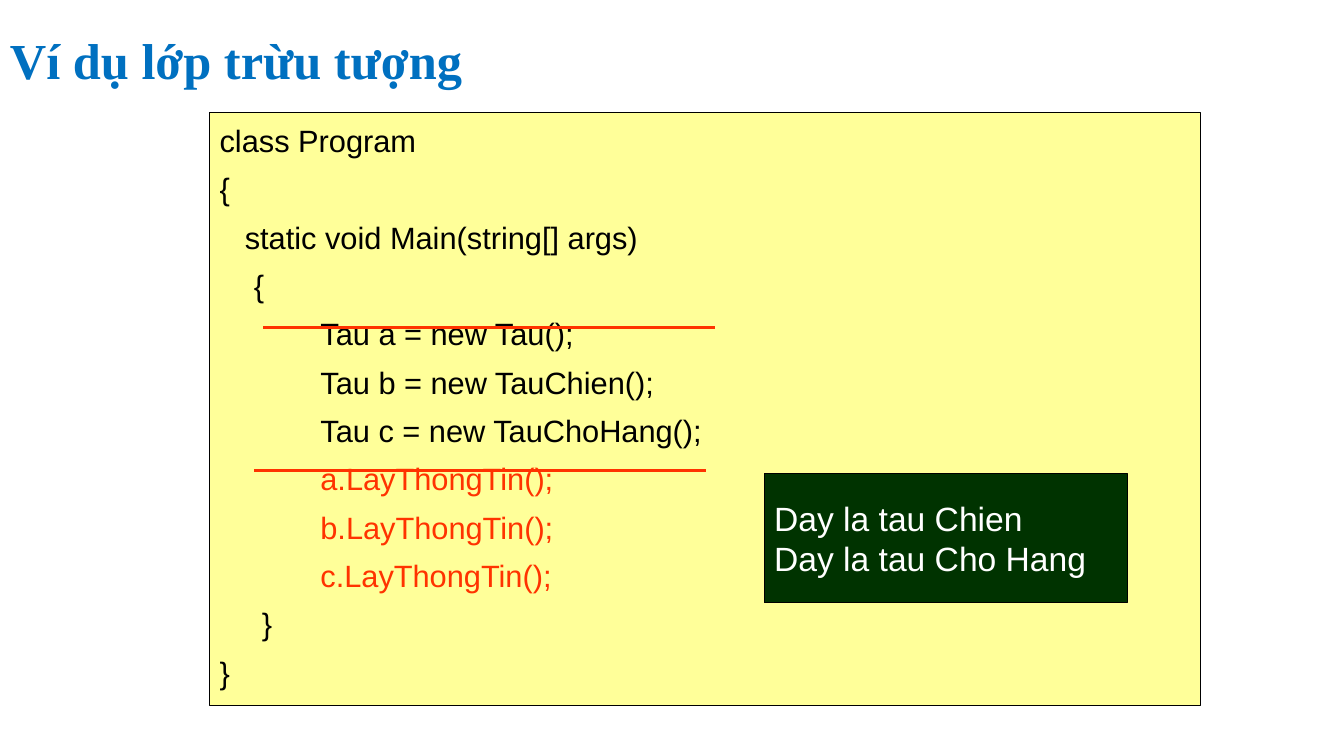
import pptx
import pptx.dml.color
import pptx.enum.shapes
import pptx.enum.text
import pptx.util
from lxml import etree
from pptx.util import Inches, Pt

BLACK, RED = "000000", "FF3300"
ANCHOR = pptx.enum.text.MSO_ANCHOR

# Each line: text, left indent in inches, colour
CODE = [
    ("class Program", 0, BLACK),
    ("{", 0, BLACK),
    ("static void Main(string[] args)", 0.25, BLACK),
    ("{", 0.34, BLACK),
    ("Tau a = new Tau();", 1, BLACK),
    ("Tau b = new TauChien();", 1, BLACK),
    ("Tau c = new TauChoHang();", 1, BLACK),
    ("a.LayThongTin();", 1, RED),
    ("b.LayThongTin();", 1, RED),
    ("c.LayThongTin();", 1, RED),
    ("}", 0.42, BLACK),
    ("}", 0, BLACK),
]
OUTPUT = [(text, 0, "FFFFFF") for text in ("Day la tau Chien", "Day la tau Cho Hang")]
TITLE = [("Ví dụ lớp trừu tượng", 0, "0070C0")]

CODE_BOX = (2.08, 1.12, 9.83, 5.88)
OUTPUT_BOX = (7.58, 4.7, 3.6, 1.28)
TITLE_BOX = (0, 0.34, 7.5, 0.58)
STRIKE_LENGTH = 4.48
STRIKES = [(2.61, 3.25), (2.52, 4.67)]  # left end of each crossing-out line

CODE_FONT = {"name": "Arial", "size": Pt(22)}
OUTPUT_FONT = {"name": "Arial", "size": Pt(24)}
TITLE_FONT = {"name": "Times New Roman", "size": Pt(36), "bold": True}
CODE_SPACING = {"line_spacing": 1.1, "space_before": Pt(5.5)}
TITLE_SPACING = {"line_spacing": 0.9}


def set_color(color_format, value):
    color_format.rgb = pptx.dml.color.RGBColor.from_string(value)


def set_values(target, values):
    for name, value in values.items():
        setattr(target, name, value)


def write_lines(shape, lines, font, spacing, anchor):
    frame = shape.text_frame
    set_values(frame, {"word_wrap": True, "vertical_anchor": anchor})
    for index, (text, indent, color) in enumerate(lines):
        paragraph = frame.add_paragraph() if index else frame.paragraphs[0]
        paragraph.alignment = pptx.enum.text.PP_ALIGN.LEFT
        set_values(paragraph, spacing)
        if indent:
            paragraph._p.get_or_add_pPr().set("marL", str(Inches(indent)))
        run = paragraph.add_run()
        run.text = text
        set_values(run.font, font)
        set_color(run.font.color, color)


def add_box(slide, box, fill):
    shape = slide.shapes.add_shape(
        pptx.enum.shapes.MSO_SHAPE.RECTANGLE, *map(Inches, box))
    shape.shadow.inherit = False
    shape.fill.solid()
    set_color(shape.fill.fore_color, fill)
    set_color(shape.line.color, BLACK)
    shape.line.width = Pt(0.75)
    return shape


def add_strike(slide, left, top):
    line = slide.shapes.add_connector(
        pptx.enum.shapes.MSO_CONNECTOR.STRAIGHT,
        *map(Inches, (left, top, left + STRIKE_LENGTH, top)))
    set_color(line.line.color, RED)
    line.line.width = Pt(2.25)
    etree.SubElement(line._element.spPr, pptx.oxml.ns.qn("a:effectLst"))


def main():
    presentation = pptx.Presentation()
    presentation.slide_width = Inches(13.33)
    presentation.slide_height = Inches(7.5)
    slide = presentation.slides.add_slide(presentation.slide_layouts[6])

    code = add_box(slide, CODE_BOX, "FFFF99")
    write_lines(code, CODE, CODE_FONT, CODE_SPACING, ANCHOR.TOP)
    for left, top in STRIKES:
        add_strike(slide, left, top)
    output = add_box(slide, OUTPUT_BOX, "003300")
    write_lines(output, OUTPUT, OUTPUT_FONT, {}, ANCHOR.MIDDLE)
    title = slide.shapes.add_textbox(*map(Inches, TITLE_BOX))
    write_lines(title, TITLE, TITLE_FONT, TITLE_SPACING, ANCHOR.MIDDLE)

    presentation.save("out.pptx")


if __name__ == "__main__":
    main()
